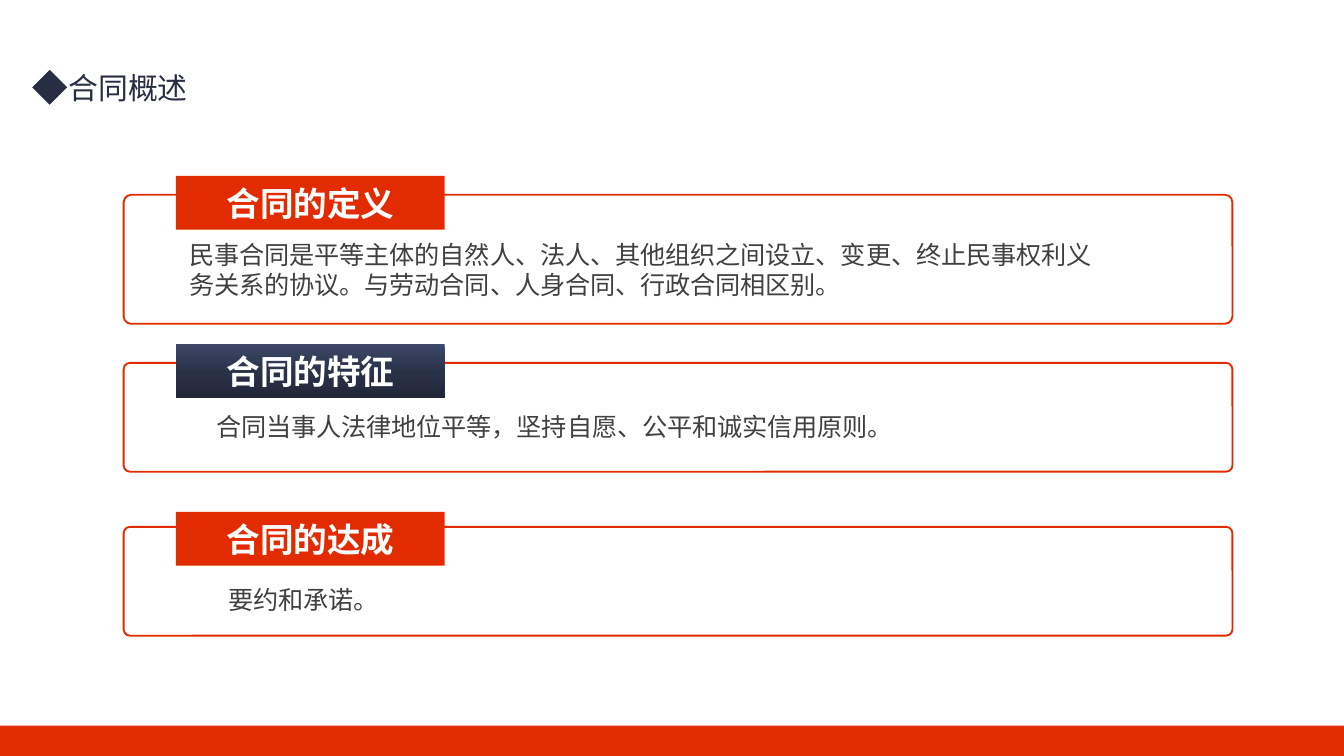
import copy

from lxml import etree
from pptx import Presentation
from pptx import util as u
from pptx.dml.color import RGBColor
from pptx.enum import shapes, text
from pptx.oxml import ns

COLORS = {
    "red": "E22B00",
    "navy": "272E43",
    "white": "FFFFFF",
    "gray": "404040",
}
NAVY_STOPS = [(0, "3D4869"), (0.53, "2A3248"), (1, "212739")]
CJK = "Noto Sans CJK SC"


def write(sp, content, size, color, font=CJK, bold=False, wrap=True,
          align=text.PP_ALIGN.LEFT, anchor=text.MSO_ANCHOR.TOP):
    tf = sp.text_frame
    tf.word_wrap = wrap
    tf.auto_size = text.MSO_AUTO_SIZE.NONE
    tf.vertical_anchor = anchor
    p = tf.paragraphs[0]
    p.alignment = align
    r = p.add_run()
    r.text = content
    r.font.size = u.Pt(size)
    r.font.bold = bold
    r.font.name = font
    r.font.color.rgb = RGBColor.from_string(COLORS[color])
    latin = r.font._element.find(ns.qn("a:latin"))
    latin.addnext(etree.Element(ns.qn("a:ea"), typeface=CJK))


class Deck:
    def __init__(self, prs):
        self.s = prs.slides.add_slide(prs.slide_layouts[5])

    def title(self, content, box):
        sp = self.s.shapes.title
        sp.left, sp.top, sp.width, sp.height = map(u.Inches, box)
        write(sp, content, 16, "navy", font="Calibri", wrap=False)

    def shape(self, parent, kind, box, fill, line=None):
        sp = parent.shapes.add_shape(kind, *map(u.Inches, box))
        sp.shadow.inherit = False
        sp.fill.solid()
        sp.fill.fore_color.rgb = RGBColor.from_string(COLORS[fill])
        if line:
            sp.line.color.rgb = RGBColor.from_string(COLORS[line])
            sp.line.width = u.Pt(1)
        else:
            sp.line.fill.background()
        return sp

    def shade(self, sp, stops):
        sp.fill.gradient()
        sp.fill.gradient_angle = 270
        first = sp.fill.gradient_stops[0]._gs
        first.addnext(copy.deepcopy(first))
        for stop, (position, color) in zip(sp.fill.gradient_stops, stops):
            stop.position = position
            stop.color.rgb = RGBColor.from_string(color)

    def panel(self, top, height, heading, heading_top, body, body_box, dark):
        group = self.s.shapes.add_group_shape()
        frame = self.shape(group, shapes.MSO_SHAPE.ROUNDED_RECTANGLE,
                           (0.92, top, 8.25, height), "white", "red")
        frame.adjustments[0] = 0.058
        label = self.shape(group, shapes.MSO_SHAPE.RECTANGLE,
                           (1.31, heading_top, 2, 0.4), "red")
        if dark:
            self.shade(label, NAVY_STOPS)
        write(label, heading, 18, "white", bold=True,
              align=text.PP_ALIGN.CENTER, anchor=text.MSO_ANCHOR.MIDDLE)
        sp = group.shapes.add_textbox(*map(u.Inches, body_box))
        write(sp, body, 13.5, "gray")


def main():
    prs = Presentation()
    prs.slide_width = u.Inches(10)
    prs.slide_height = prs.slide_width * 9 // 16
    deck = Deck(prs)
    deck.title("合同概述", (0.41, 0.47, 1.1, 0.37))
    deck.shape(deck.s, shapes.MSO_SHAPE.DIAMOND, (0.24, 0.52, 0.26, 0.26), "navy")
    deck.shape(deck.s, shapes.MSO_SHAPE.RECTANGLE, (0, 5.4, 10, 0.23), "red")
    panels = [
        (1.45, 0.96, "合同的定义", 1.31,
         "民事合同是平等主体的自然人、法人、其他组织之间设立、变更、终止民事权利义务关系的协议。"
         "与劳动合同、人身合同、行政合同相区别。", (1.31, 1.73, 6.96, 0.56), False),
        (2.7, 0.81, "合同的特征", 2.56,
         "合同当事人法律地位平等，坚持自愿、公平和诚实信用原则。",
         (1.51, 3.01, 6.07, 0.33), True),
        (3.92, 0.81, "合同的达成", 3.81,
         "要约和承诺。", (1.6, 4.3, 1.8, 0.33), False),
    ]
    for panel in panels:
        deck.panel(*panel)
    prs.save("out.pptx")


if __name__ == "__main__":
    main()
